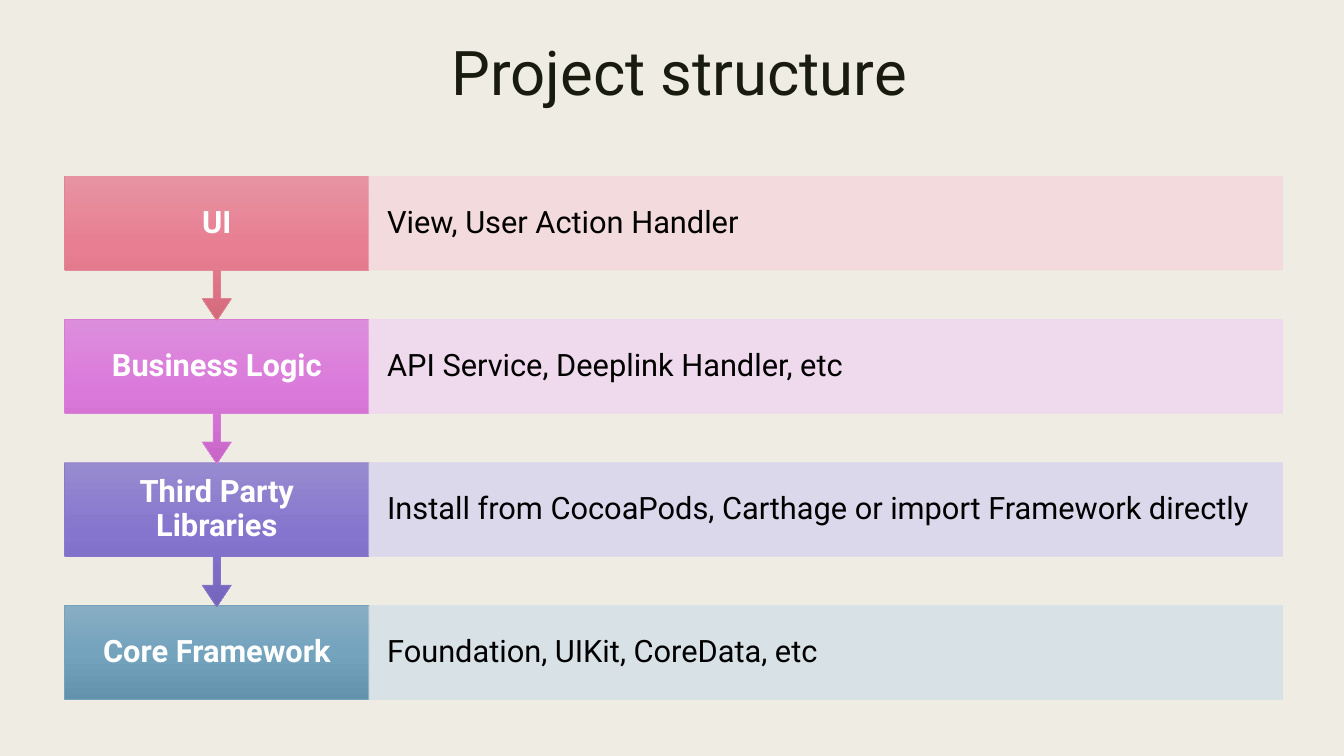
import copy

import pptx
import pptx.dml.color
import pptx.enum.shapes
import pptx.enum.text
import pptx.oxml
import pptx.oxml.ns
import pptx.util

Inches = pptx.util.Inches
Pt = pptx.util.Pt
RGBColor = pptx.dml.color.RGBColor
MSO_SHAPE = pptx.enum.shapes.MSO_SHAPE
PP_ALIGN = pptx.enum.text.PP_ALIGN
MIDDLE = pptx.enum.text.MSO_ANCHOR.MIDDLE

CREAM = RGBColor(0xEF, 0xED, 0xE3)
INK = RGBColor(0x19, 0x1B, 0x0E)
BLACK = RGBColor(0, 0, 0)
WHITE = RGBColor(0xFF, 0xFF, 0xFF)
ROSE = [RGBColor.from_string(c) for c in ("E793A2", "E77E91", "D36B7D", "E28394", "F4D9DC")]
ORCHID = [RGBColor.from_string(c) for c in ("DC8EDC", "DB79DB", "C866C8", "D77DD6", "F0D7EF")]
VIOLET = [RGBColor.from_string(c) for c in ("978BD0", "8675CE", "7464BB", "8879CA", "DBD6EC")]
STEEL = [RGBColor.from_string(c) for c in ("88ADC3", "74A3BE", "6392AD", "77A2BB", "D6E0E7")]

HEADING = "Project structure"
LAYERS = [
    ("UI", "View, User Action Handler", ROSE),
    ("Business Logic", "API Service, Deeplink Handler, etc", ORCHID),
    ("Third Party Libraries", "Install from CocoaPods, Carthage or import Framework directly", VIOLET),
    ("Core Framework", "Foundation, UIKit, CoreData, etc", STEEL),
]

LEFT, TOP, PITCH = 0.64, 1.75, 1.42
NAME_WIDTH, DETAIL_WIDTH = 3.02, 9.06
ROW_HEIGHT, CALLOUT_HEIGHT = 0.93, 1.43
ARROW_PROPORTIONS = (0.05, 0.1, 0.15, 0.65)

HEADING_FONT = {"name": "Roboto", "size": Pt(44), "bold": False}
NAME_FONT = {"name": "Roboto", "size": Pt(22), "bold": True}
DETAIL_FONT = {"name": "Roboto", "size": Pt(22), "bold": False}
NAME_FRAME = {"word_wrap": True, "vertical_anchor": MIDDLE,
              "margin_left": Inches(0.21), "margin_right": Inches(0.21),
              "margin_top": Inches(0.17), "margin_bottom": Inches(0.17)}
DETAIL_FRAME = {"word_wrap": True, "vertical_anchor": MIDDLE,
                "margin_left": Inches(0.18), "margin_right": Inches(0.18),
                "margin_top": Inches(0.31), "margin_bottom": Inches(0.31)}


def apply(target, values):
    for key, value in values.items():
        setattr(target, key, value)


def write(shape, words, frame, font, color, alignment, spacing):
    apply(shape.text_frame, frame)
    shape.text_frame.text = words
    paragraph = shape.text_frame.paragraphs[0]
    apply(paragraph, {"alignment": alignment, "line_spacing": spacing})
    apply(paragraph.runs[0].font, font)
    paragraph.runs[0].font.color.rgb = color


def add_block(slide, kind, left, top, width, height, outline):
    block = slide.shapes.add_shape(kind, Inches(left), Inches(top), Inches(width), Inches(height))
    block.shadow.inherit = False
    block.line.color.rgb = outline
    block.line.width = Pt(0.5)
    return block


def shade(block, colors):
    block.fill.gradient()
    block.fill.gradient_angle = 270
    stop_list = block._element.spPr.find(".//" + pptx.oxml.ns.qn("a:gsLst"))
    stop_list.insert(1, copy.deepcopy(stop_list[0]))
    for stop, position, color in zip(block.fill.gradient_stops, (0, 0.5, 1), colors):
        stop.position = position
        stop.color.rgb = color


def soften(block, percent):
    for color in block._element.spPr.iter(pptx.oxml.ns.qn("a:srgbClr")):
        alpha = pptx.oxml.parse_xml(f'<a:alpha {pptx.oxml.ns.nsdecls("a")} val="{percent * 1000}"/>')
        color.append(alpha)


def add_layer(slide, index, name, detail, palette):
    *gradient, outline, tint = palette
    top = TOP + index * PITCH
    is_last = index == len(LAYERS) - 1
    kind = MSO_SHAPE.RECTANGLE if is_last else MSO_SHAPE.DOWN_ARROW_CALLOUT
    height = ROW_HEIGHT if is_last else CALLOUT_HEIGHT

    name_box = add_block(slide, kind, LEFT, top, NAME_WIDTH, height, outline)
    if not is_last:
        for position, proportion in enumerate(ARROW_PROPORTIONS):
            name_box.adjustments[position] = proportion
    shade(name_box, gradient)
    write(name_box, name, NAME_FRAME, NAME_FONT, WHITE, PP_ALIGN.CENTER, 0.9)

    detail_band = add_block(slide, MSO_SHAPE.RECTANGLE, LEFT + NAME_WIDTH, top,
                            DETAIL_WIDTH, ROW_HEIGHT, tint)
    detail_band.fill.solid()
    detail_band.fill.fore_color.rgb = tint
    soften(detail_band, 90)
    write(detail_band, detail, DETAIL_FRAME, DETAIL_FONT, BLACK, PP_ALIGN.LEFT, 0.9)


def main():
    deck = pptx.Presentation()
    apply(deck, {"slide_width": Inches(13.33), "slide_height": Inches(7.5)})
    slide = deck.slides.add_slide(deck.slide_layouts[5])
    slide.background.fill.solid()
    slide.background.fill.fore_color.rgb = CREAM

    heading = slide.shapes.title
    apply(heading, {"left": Inches(0.7), "top": Inches(0.22),
                    "width": Inches(12.08), "height": Inches(1.06)})
    write(heading, HEADING, {"word_wrap": True, "vertical_anchor": MIDDLE},
          HEADING_FONT, INK, PP_ALIGN.CENTER, 0.89)

    for index, layer in reversed(list(enumerate(LAYERS))):
        add_layer(slide, index, *layer)

    deck.save("out.pptx")


if __name__ == "__main__":
    main()
